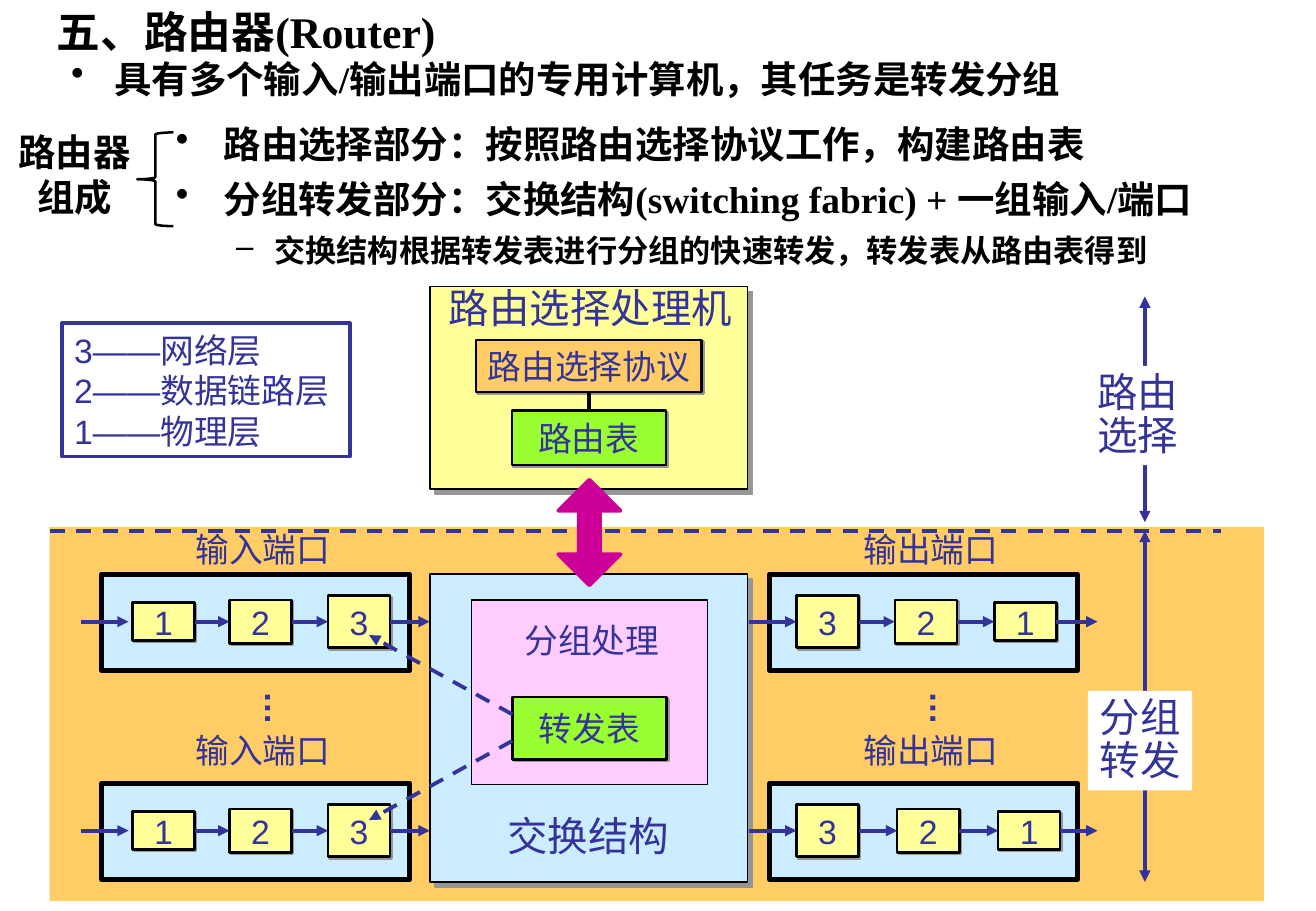
from dataclasses import dataclass

from lxml import etree
from pptx import Presentation
from pptx import util as u
from pptx.dml.color import RGBColor
from pptx.enum import dml, shapes, text
from pptx.oxml.ns import qn


@dataclass(frozen=True)
class Theme:
    ink: str = "000000"
    blue: str = "333399"
    white: str = "FFFFFF"
    orange: str = "FFCC66"
    yellow: str = "FFFF99"
    sky: str = "CCECFF"
    green: str = "99FF33"
    pink: str = "FFCCFF"
    magenta: str = "CC0099"
    shade: str = "969696"
    serif: str = "Times New Roman"
    sans: str = "Arial"
    heading: float = 25.9
    bullet: float = 22.2
    detail: float = 18.5
    large: float = 24
    label: float = 20


def lengths(values):
    return [u.Cm(value) for value in values]


def add_xml(parent, tag, **attributes):
    return etree.SubElement(parent, qn(tag), attributes)


class Page:
    def __init__(self, deck, theme):
        self.theme = theme
        self.slide = deck.slides.add_slide(deck.slide_layouts[5])

    def fill_text(self, box, lines, size, face=None, color=None, bold=False, align="LEFT",
                  anchor="TOP", wrap=False, spacing=None, before=0, side=0.25):
        """Fill a box; a line is text or (text, bullet, margin, hanging, size)."""
        frame = box.text_frame
        frame_format = {"word_wrap": wrap, "auto_size": text.MSO_AUTO_SIZE.NONE,
                        "vertical_anchor": text.MSO_ANCHOR[anchor],
                        "margin_left": u.Cm(side), "margin_right": u.Cm(side),
                        "margin_top": u.Cm(0.13), "margin_bottom": u.Cm(0.13)}
        for name, value in frame_format.items():
            setattr(frame, name, value)
        for index, line in enumerate(lines):
            words, mark, margin, hanging, points = (
                (line, None, 0, 0, size) if isinstance(line, str) else line)
            para = frame.add_paragraph() if index else frame.paragraphs[0]
            if mark:
                properties = para._p.get_or_add_pPr()
                properties.set("marL", str(u.Cm(margin)))
                properties.set("indent", str(-u.Cm(hanging)))
                add_xml(add_xml(properties, "a:buClr"), "a:srgbClr", val=self.theme.ink)
                add_xml(properties, "a:buChar", char=mark)
            para_format = {"alignment": text.PP_ALIGN[align], "line_spacing": spacing,
                           "space_before": u.Pt(before if index else 0)}
            for name, value in para_format.items():
                setattr(para, name, value)
            span = para.add_run()
            span.text = words
            font_format = {"name": face or self.theme.sans, "size": u.Pt(points), "bold": bold}
            for name, value in font_format.items():
                setattr(span.font, name, value)
            span.font.color.rgb = RGBColor.from_string(color or self.theme.blue)

    def title(self, place, words):
        box = self.slide.shapes.title
        for name, value in zip(("left", "top", "width", "height"), lengths(place)):
            setattr(box, name, value)
        self.fill_text(box, [words], self.theme.heading, self.theme.serif, self.theme.ink,
                       bold=True, wrap=True, spacing=0.8)

    def text(self, place, lines, size, turn=0, **style):
        box = self.slide.shapes.add_textbox(*lengths(place))
        box.rotation = turn
        self.fill_text(box, lines, size, **style)

    def prose(self, place, lines, **style):
        """Bold serif text of the upper half."""
        self.text(place, lines, self.theme.bullet, face=self.theme.serif,
                  color=self.theme.ink, bold=True, wrap=True, **style)

    def shape(self, place, fill=None, line=None, width=1, shadow=0, kind="RECTANGLE", adjust=()):
        box = self.slide.shapes.add_shape(shapes.MSO_SHAPE[kind], *lengths(place))
        box.shadow.inherit = False
        for index, value in enumerate(adjust):
            box.adjustments[index] = value
        if fill:
            box.fill.solid()
            box.fill.fore_color.rgb = RGBColor.from_string(fill)
        else:
            box.fill.background()
        if line:
            box.line.color.rgb = RGBColor.from_string(line)
            box.line.width = u.Pt(width)
        else:
            box.line.fill.background()
        if shadow:
            effects = box._element.spPr.find(qn("a:effectLst"))
            outer = add_xml(effects, "a:outerShdw", dist=str(u.Pt(shadow)), dir="2700000",
                            algn="ctr", rotWithShape="0")
            add_xml(outer, "a:srgbClr", val=self.theme.shade)
        return box

    def block(self, place, words, fill):
        """Small shadowed box with a centred label."""
        box = self.shape(place, fill, self.theme.ink, 1.5, 1.4)
        self.fill_text(box, [words], self.theme.label, align="CENTER", anchor="MIDDLE")
        return box

    def line(self, start, end, color=None, dash=False, head=False, tail=False,
             leave=None, reach=None):
        link = self.slide.shapes.add_connector(
            shapes.MSO_CONNECTOR.STRAIGHT, *lengths((*start, *end)))
        if leave:
            link.begin_connect(*leave)
        if reach:
            link.end_connect(*reach)
        link.line.color.rgb = RGBColor.from_string(color or self.theme.blue)
        link.line.width = u.Pt(2.25)
        if dash:
            link.line.dash_style = dml.MSO_LINE.DASH
        stroke = link.line._get_or_add_ln()
        for tag, wanted in (("a:headEnd", head), ("a:tailEnd", tail)):
            if wanted:
                add_xml(stroke, tag, type="triangle")
        add_xml(link._element.spPr, "a:effectLst")

    def port(self, frame_left, middle, stages, entry, leaving):
        """Framed chain of layer boxes joined by arrows."""
        self.shape((frame_left, middle - 0.99, 6.44, 2.01), self.theme.sky, self.theme.ink, 3)
        heights = {"1": 0.79, "2": 0.91, "3": 1.09}
        start, previous = entry[0], None
        for layer, left in stages:
            high = heights[layer]
            box = self.block((left, middle - high / 2, 1.3, high), layer, self.theme.yellow)
            self.line((start, middle), (left if previous else entry[1], middle), tail=True,
                      leave=previous and (previous, 3), reach=previous and (box, 1))
            start, previous = left + 1.3, box
        self.line((start, middle), (leaving, middle), tail=True, leave=(previous, 3))


def main():
    deck = Presentation()
    deck.slide_width, deck.slide_height = lengths((27.53, 19.05))
    theme = Theme()
    page = Page(deck, theme)

    # Heading and bullets
    page.title((0.94, 0.18, 25.83, 1), "五、路由器(Router)")
    page.prose((0.94, 1.22, 25.83, 1),
               [("具有多个输入/输出端口的专用计算机，其任务是转发分组", "•", 1.2, 0.9, theme.bullet)],
               spacing=0.8)

    # Backdrop of the forwarding part
    page.shape((1.04, 11.02, 25.4, 7.82), theme.orange)

    # Routing processor
    page.shape((8.99, 5.99, 6.65, 4.24), theme.yellow, theme.ink, 1, 4.2)
    page.text((9.14, 5.79, 6.43, 1.27), ["路由选择处理机"], theme.large)
    protocol = page.block((9.96, 7.11, 4.72, 1.09), "路由选择协议", theme.orange)
    routes = page.block((10.71, 8.59, 3.22, 1.14), "路由表", theme.green)
    page.line((12.32, 8.2), (12.32, 8.59), theme.ink, leave=(protocol, 2), reach=(routes, 0))

    # Switching fabric
    page.shape((8.99, 12.01, 6.65, 6.43), theme.sky, theme.ink, 1, 4.2)
    page.text((10.36, 16.84, 3.89, 1.27), ["交换结构"], theme.large)
    page.shape((9.86, 12.55, 4.95, 3.86), theme.pink, theme.ink, 0.75)
    page.text((10.72, 12.83, 3.33, 1.12), ["分组处理"], theme.label)
    page.block((10.72, 14.58, 3.23, 1.3), "转发表", theme.green)

    # Input and output ports
    rows = ((13, 10.92, (16.66, 18.72, 20.8)), (17.37, 15.14, (16.66, 18.77, 20.88)))
    for middle, label_top, output_lefts in rows:
        page.port(2.13, middle, zip("123", (2.77, 4.8, 6.86)), (1.7, 2.69), 8.99)
        page.port(16.1, middle, zip("321", output_lefts), (15.67, 16.66), 22.96)
        for left, words in ((3.84, "输入端口"), (17.81, "输出端口")):
            page.text((left, label_top, 3.33, 1.12), [words], theme.label)
    for left in (5.21, 19.13):
        page.text((left, 14.27, 1.22, 1.12), ["…"], theme.label, turn=90, bold=True)
    for start_top, end_top in ((14.94, 13.28), (15.49, 17.15)):
        page.line((10.72, start_top), (7.72, end_top), dash=True, tail=True)

    # Division into routing and forwarding
    page.line((1.04, 11.1), (25.55, 11.1), dash=True)
    spans = ((6.2, 10.92, 22.71, 7.65, ["路由", "选择"]),
             (11.1, 18.44, 22.76, 14.45, ["分组", "转发"]))
    for top, bottom, left, label_top, words in spans:
        page.line((23.95, top), (23.95, bottom), head=True, tail=True)
        plate = page.shape((left, label_top, 2.18, 2.08), theme.white)
        page.fill_text(plate, words, theme.large, spacing=0.9)

    # Layer legend
    legend = page.shape((1.3, 6.76, 6.02, 2.79), None, theme.blue, 2.25)
    page.fill_text(legend, ["3——网络层", "2——数据链路层", "1——物理层"], theme.label)

    # Exchange between processor and fabric
    page.shape((11.68, 10.03, 1.3, 2.21), theme.magenta, theme.magenta, 2.25,
               kind="UP_DOWN_ARROW", adjust=(0.5, 0.34))

    # Parts of a router
    page.shape((2.87, 2.77, 0.76, 1.96), None, theme.ink, 1.5,
               kind="LEFT_BRACE", adjust=(0.06, 0.5))
    page.prose((3.43, 2.41, 23.9, 3.51), [
        ("路由选择部分：按照路由选择协议工作，构建路由表", "•", 1, 1, theme.bullet),
        ("分组转发部分：交换结构(switching fabric) + 一组输入/端口", "•", 1, 1, theme.bullet),
        ("交换结构根据转发表进行分组的快速转发，转发表从路由表得到", "–", 2.06, 0.8, theme.detail),
    ], before=6)
    page.prose((0.15, 2.57, 2.82, 2.13), ["路由器组成"], align="CENTER", side=0.1)

    deck.save("out.pptx")


if __name__ == "__main__":
    main()
